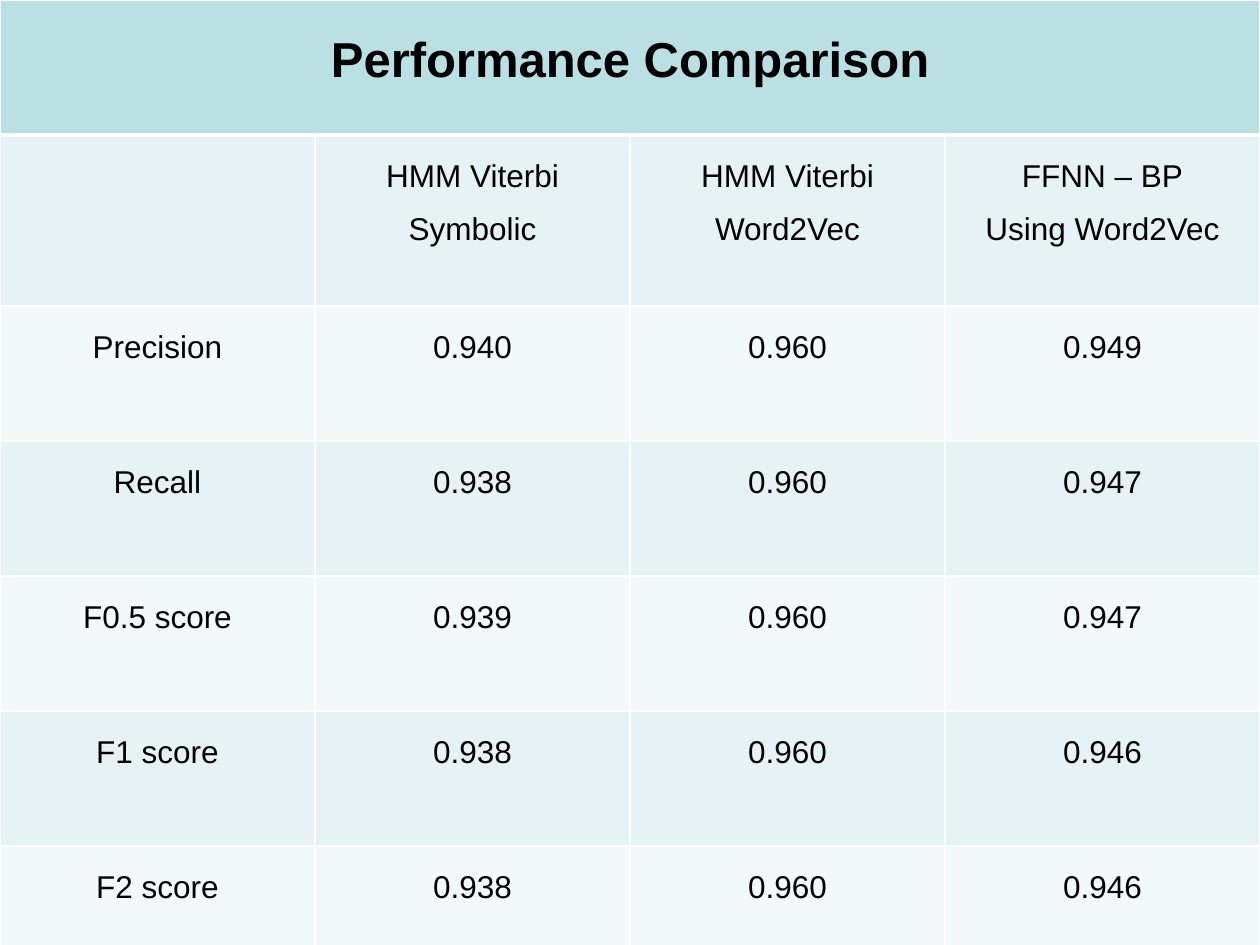
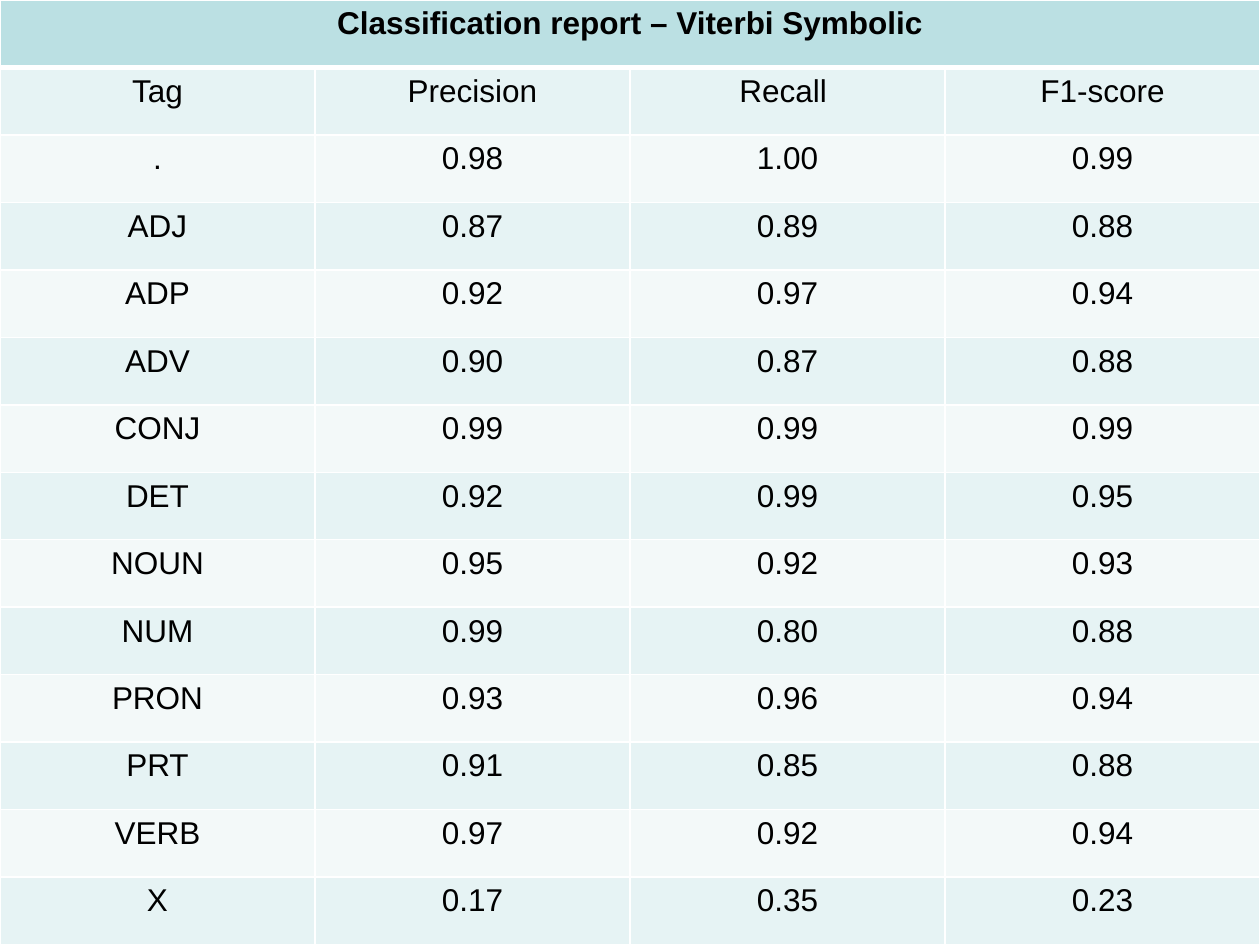
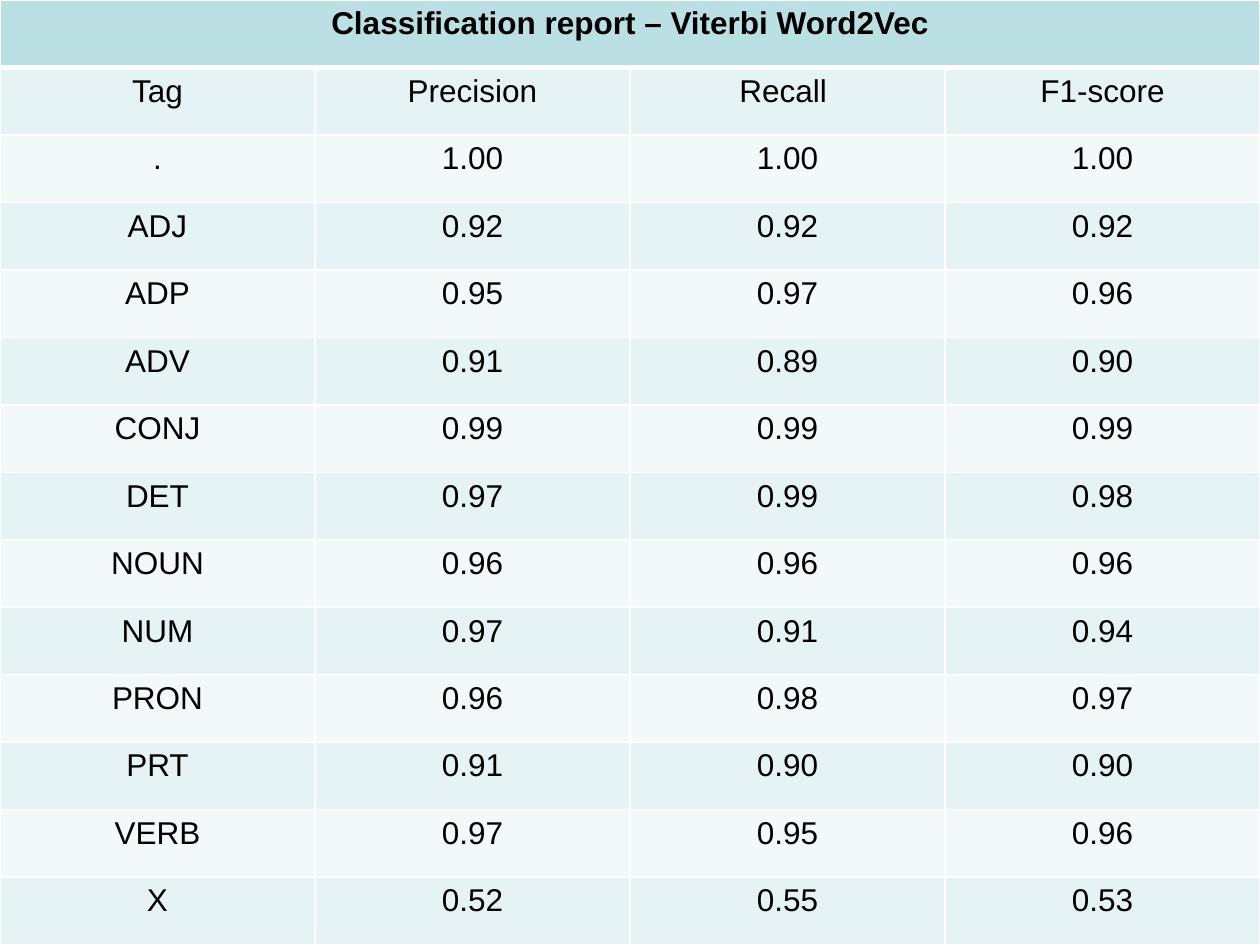
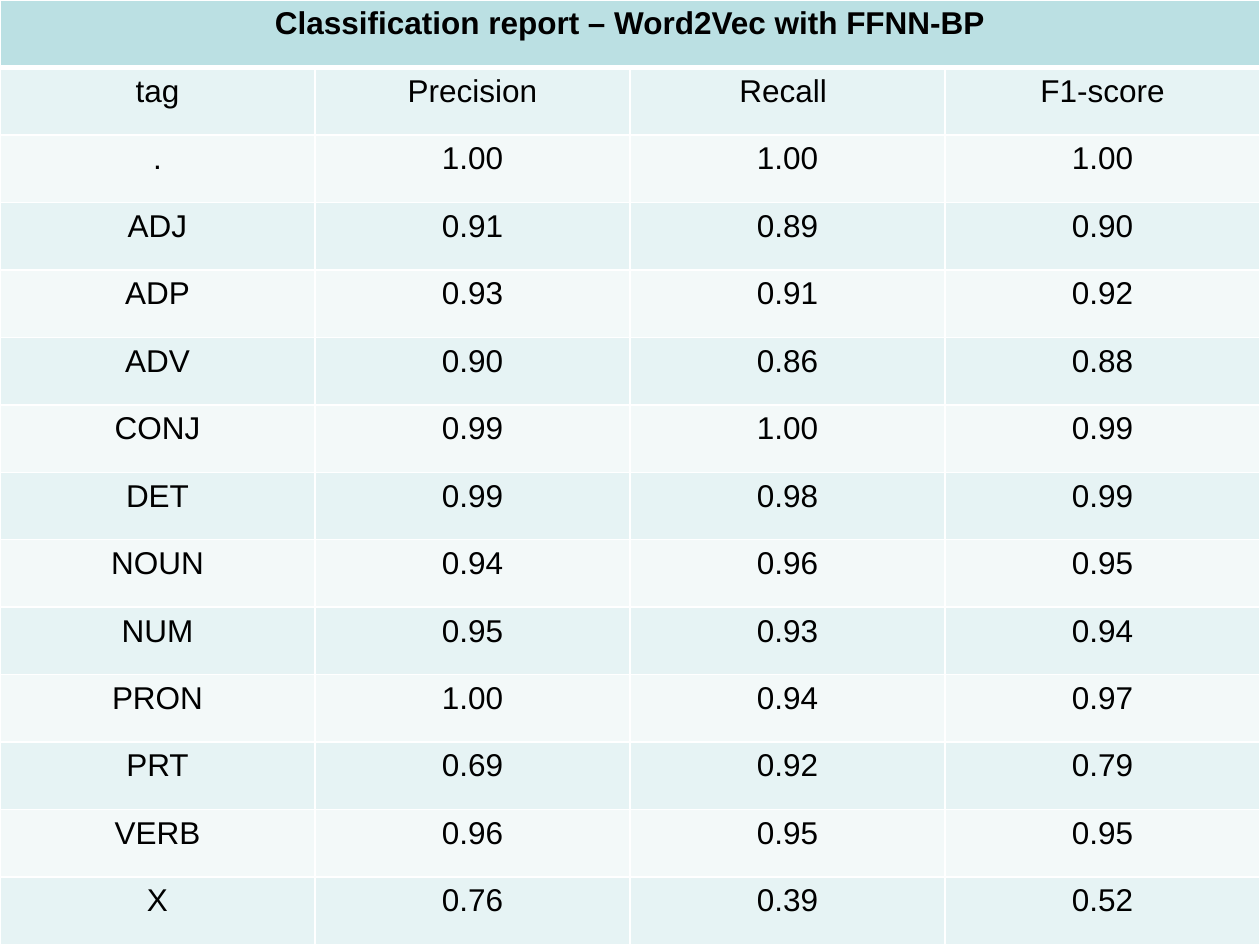
import pptx
import pptx.dml.color
import pptx.enum.text
import pptx.oxml
import pptx.oxml.ns
import pptx.util

COLOURS = {
    "text": "000000",
    "border": "FFFFFF",
    "header": "BBE0E3",
    "band_dark": "E6F3F4",
    "band_light": "F3F9F9",
}
FONT = "Arial"
BODY_SIZE = 18
SLIDE_WIDTH, SLIDE_HEIGHT = 25.4, 19.05
THIN_BORDER, THICK_BORDER = 0.96, 3

COMPARISON = {
    "title": "Performance Comparison",
    "columns": ["", "HMM Viterbi\nSymbolic", "HMM Viterbi\nWord2Vec",
                "FFNN – BP\nUsing Word2Vec"],
    "rows": [
        ("Precision", "0.940", "0.960", "0.949"),
        ("Recall", "0.938", "0.960", "0.947"),
        ("F0.5 score", "0.939", "0.960", "0.947"),
        ("F1 score", "0.938", "0.960", "0.946"),
        ("F2 score", "0.938", "0.960", "0.946"),
    ],
}
COMPARISON_HEIGHTS = [2.72, 3.45] + [2.72] * len(COMPARISON["rows"])

TAGS = [".", "ADJ", "ADP", "ADV", "CONJ", "DET", "NOUN", "NUM", "PRON",
        "PRT", "VERB", "X"]
MEASURES = ["Precision", "Recall ", "F1-score"]

# Each report has one score list per measure, in the order of TAGS.
REPORTS = [
    {
        "title": "Classification report – Viterbi Symbolic",
        "tag_label": "Tag",
        "scores": [
            (0.98, 0.87, 0.92, 0.90, 0.99, 0.92, 0.95, 0.99, 0.93, 0.91, 0.97, 0.17),
            (1.00, 0.89, 0.97, 0.87, 0.99, 0.99, 0.92, 0.80, 0.96, 0.85, 0.92, 0.35),
            (0.99, 0.88, 0.94, 0.88, 0.99, 0.95, 0.93, 0.88, 0.94, 0.88, 0.94, 0.23),
        ],
    },
    {
        "title": "Classification report – Viterbi Word2Vec",
        "tag_label": "Tag",
        "scores": [
            (1.00, 0.92, 0.95, 0.91, 0.99, 0.97, 0.96, 0.97, 0.96, 0.91, 0.97, 0.52),
            (1.00, 0.92, 0.97, 0.89, 0.99, 0.99, 0.96, 0.91, 0.98, 0.90, 0.95, 0.55),
            (1.00, 0.92, 0.96, 0.90, 0.99, 0.98, 0.96, 0.94, 0.97, 0.90, 0.96, 0.53),
        ],
    },
    {
        "title": "Classification report – Word2Vec with FFNN-BP",
        "tag_label": "tag",
        "scores": [
            (1.00, 0.91, 0.93, 0.90, 0.99, 0.99, 0.94, 0.95, 1.00, 0.69, 0.96, 0.76),
            (1.00, 0.89, 0.91, 0.86, 1.00, 0.98, 0.96, 0.93, 0.94, 0.92, 0.95, 0.39),
            (1.00, 0.90, 0.92, 0.88, 0.99, 0.99, 0.95, 0.94, 0.97, 0.79, 0.95, 0.52),
        ],
    },
]


def set_borders(cell, top, bottom):
    """Draw the four borders of a cell; top and bottom are widths in points."""
    properties = cell._tc.get_or_add_tcPr()
    widths = {"lnL": THIN_BORDER, "lnR": THIN_BORDER, "lnT": top, "lnB": bottom}
    for tag, width in widths.items():
        properties.append(pptx.oxml.parse_xml(
            f'<a:{tag} {pptx.oxml.ns.nsdecls("a")} w="{pptx.util.Pt(width)}">'
            f'<a:solidFill><a:srgbClr val="{COLOURS["border"]}"/></a:solidFill>'
            f'</a:{tag}>'))


def write_cell(cell, text, size, bold, line_spacing):
    """Put centred text into a cell, one paragraph a line."""
    cell.text_frame.text = text
    for paragraph in cell.text_frame.paragraphs:
        paragraph.alignment = pptx.enum.text.PP_ALIGN.CENTER
        paragraph.line_spacing = line_spacing
        for run in paragraph.runs:
            run.font.name = FONT
            run.font.size = pptx.util.Pt(size)
            run.font.bold = bold
            run.font.color.rgb = pptx.dml.color.RGBColor.from_string(COLOURS["text"])


def add_table_slide(presentation, title, columns, rows, heights,
                    title_size=BODY_SIZE, line_spacing=None):
    """Add a slide filled by a banded table whose first row is its title."""
    slide = presentation.slides.add_slide(presentation.slide_layouts[6])
    column_count = len(columns)
    lines = [[title] + [""] * (column_count - 1), columns, *rows]
    table = slide.shapes.add_table(
        len(lines), column_count, 0, 0,
        pptx.util.Cm(SLIDE_WIDTH), pptx.util.Cm(sum(heights))).table
    table.horz_banding = False
    for column in table.columns:
        column.width = pptx.util.Cm(SLIDE_WIDTH / column_count)

    for row_index, (texts, height) in enumerate(zip(lines, heights)):
        table.rows[row_index].height = pptx.util.Cm(height)
        is_title = row_index == 0
        band = "band_dark" if row_index % 2 else "band_light"
        fill = COLOURS["header" if is_title else band]
        top = THICK_BORDER if row_index == 1 else THIN_BORDER
        bottom = THICK_BORDER if is_title else THIN_BORDER
        for column_index, text in enumerate(texts):
            cell = table.cell(row_index, column_index)
            set_borders(cell, top, bottom)
            cell.fill.solid()
            cell.fill.fore_color.rgb = pptx.dml.color.RGBColor.from_string(fill)
            write_cell(cell, text, title_size if is_title else BODY_SIZE,
                       is_title, line_spacing)
    table.cell(0, 0).merge(table.cell(0, column_count - 1))


def add_report_slide(presentation, report):
    """Add a classification report with equal rows over the whole slide."""
    rows = [(tag, *(f"{score:.2f}" for score in scores))
            for tag, *scores in zip(TAGS, *report["scores"])]
    row_count = len(rows) + 2
    add_table_slide(presentation, report["title"],
                    [report["tag_label"], *MEASURES], rows,
                    [SLIDE_HEIGHT / row_count] * row_count)


def main():
    """Build the presentation and save it."""
    presentation = pptx.Presentation()
    presentation.slide_width = pptx.util.Cm(SLIDE_WIDTH)
    presentation.slide_height = pptx.util.Cm(SLIDE_HEIGHT)
    add_table_slide(presentation, **COMPARISON, heights=COMPARISON_HEIGHTS,
                    title_size=28, line_spacing=1.5)
    for report in REPORTS:
        add_report_slide(presentation, report)
    presentation.save("out.pptx")


main()
